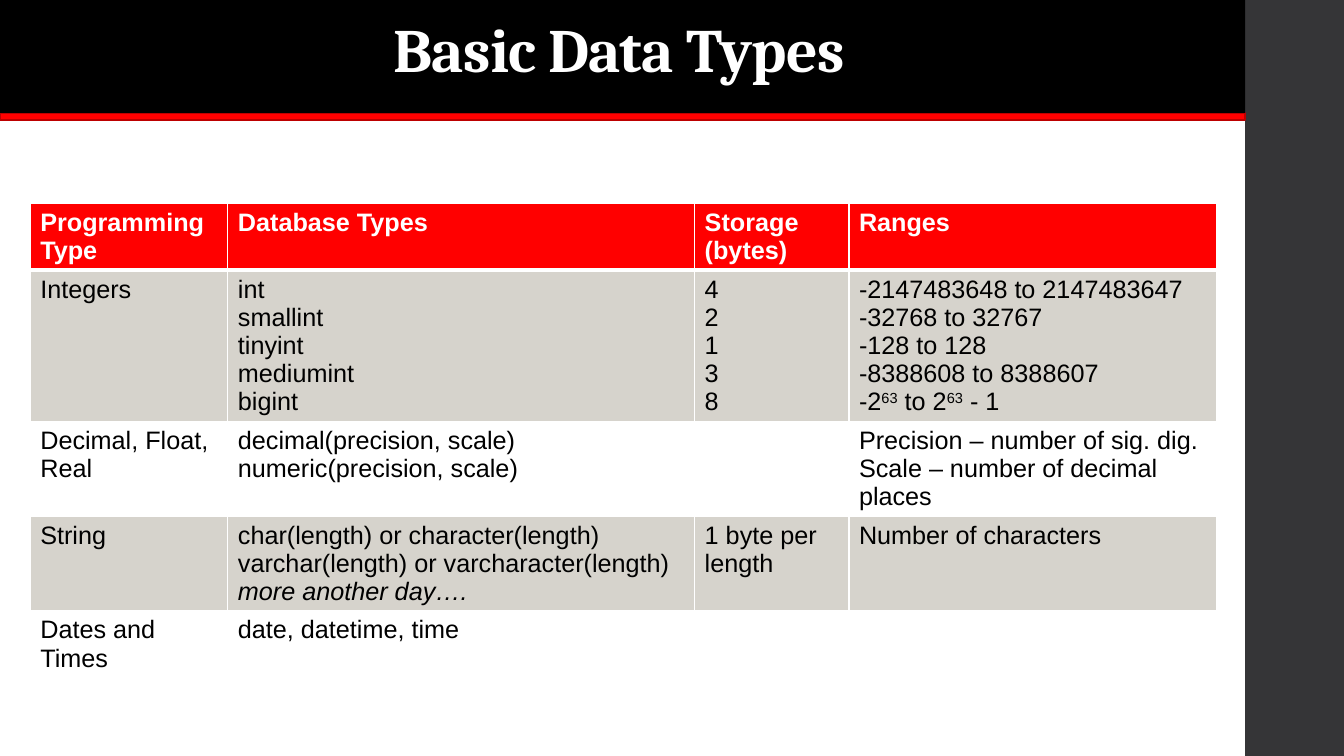
import dataclasses

import pptx
import pptx.dml.color
import pptx.enum.shapes
import pptx.enum.text
import pptx.oxml
import pptx.oxml.ns
import pptx.util
from pptx.util import Inches


@dataclasses.dataclass(frozen=True)
class Theme:
    white: str = "FFFFFF"
    black: str = "000000"
    red: str = "FF0000"
    dark_red: str = "BD0000"
    charcoal: str = "353537"
    band: str = "D6D3CC"
    title_font: str = "Cambria"
    body_font: str = "Arial"
    title_size: int = 44
    body_size: int = 18


theme = Theme()
rgb = pptx.dml.color.RGBColor.from_string


def add_text(paragraph, text, *, font=theme.body_font, size=theme.body_size,
             color=theme.black, bold=False, italic=False, baseline=0, spacing=0):
    """Append formatted text to a paragraph; each newline is a line break."""
    for number, line in enumerate(text.split("\n")):
        if number:
            paragraph.add_line_break()
        if not line:
            continue
        run = paragraph.add_run()
        run.text = line
        run.font.name = font
        run.font.size = pptx.util.Pt(size)
        run.font.color.rgb = rgb(color)
        run.font.bold = bold
        run.font.italic = italic
        properties = run._r.get_or_add_rPr()
        if baseline:
            properties.set("baseline", str(baseline * 1000))
        if spacing:
            properties.set("spc", str(int(spacing * 100)))


def add_rectangle(left, top, width, height, fill, line=None):
    shape = slide.shapes.add_shape(
        pptx.enum.shapes.MSO_SHAPE.RECTANGLE,
        Inches(left), Inches(top), Inches(width), Inches(height))
    shape.shadow.inherit = False
    shape.fill.solid()
    shape.fill.fore_color.rgb = rgb(fill)
    if line:
        shape.line.color.rgb = rgb(line)
        shape.line.width = pptx.util.Pt(1.1)
    else:
        shape.line.fill.background()
    return shape


presentation = pptx.Presentation()
presentation.slide_width = Inches(13.33)
presentation.slide_height = Inches(7.5)
slide = presentation.slides.add_slide(presentation.slide_layouts[6])
slide.background.fill.solid()
slide.background.fill.fore_color.rgb = rgb(theme.white)

# Side panel, red rule and title bar
add_rectangle(12.35, 0, 1, 7.5, theme.charcoal)
add_rectangle(0, 1.12, 12.35, 0.07, theme.red, theme.dark_red)
title_bar = add_rectangle(-0.07, -0.07, 12.42, 1.19, theme.black)
title_bar.text_frame.word_wrap = True
title_bar.text_frame.vertical_anchor = pptx.enum.text.MSO_ANCHOR.MIDDLE
title = title_bar.text_frame.paragraphs[0]
title.alignment = pptx.enum.text.PP_ALIGN.CENTER
title.line_spacing = 0.9
add_text(title, "Basic Data Types", font=theme.title_font, size=theme.title_size,
         color=theme.white, bold=True, spacing=-0.5)

# A cell is a list of paragraphs; a paragraph is text or a list of (text, format) pieces
plain, raised, slanted = {}, {"baseline": 30}, {"italic": True}
bigint_range = [
    ("-2147483648 to 2147483647\n-32768 to 32767\n-128 to 128\n"
     "-8388608 to 8388607\n-2", plain),
    ("63", raised), (" to 2", plain), ("63", raised), (" - 1", plain)]
string_types = [
    ("char(length) or character(length)\n"
     "varchar(length) or varcharacter(length)\n", plain),
    ("more another day….", slanted)]
rows = [
    [["Programming Type"], ["Database Types"], ["Storage\n(bytes)"], ["Ranges"]],
    [["Integers"], ["int", "smallint", "tinyint\nmediumint\nbigint"],
     ["4\n2\n1\n3\n8"], [bigint_range]],
    [["Decimal, Float, Real"],
     ["decimal(precision, scale)", "numeric(precision, scale)"], [],
     ["Precision – number of sig. dig.", "Scale – number of decimal places"]],
    [["String"], [string_types], ["1 byte per length"], ["Number of characters"]],
    [["Dates and Times"], ["date, datetime, time"], [], []],
]
column_widths = [1.96, 4.63, 1.53, 3.65]
row_heights = [0.66, 1.5, 0.94, 0.94, 0.66]

table = slide.shapes.add_table(
    len(rows), len(column_widths), Inches(0.3), Inches(2.02),
    Inches(sum(column_widths)), Inches(sum(row_heights))).table
for column, width in zip(table.columns, column_widths):
    column.width = Inches(width)
for row, height in zip(table.rows, row_heights):
    row.height = Inches(height)

for row_number, row in enumerate(rows):
    header = row_number == 0
    fill = theme.red if header else theme.band if row_number % 2 else theme.white
    text_color = theme.white if header else theme.black
    for column_number, content in enumerate(row):
        cell = table.cell(row_number, column_number)
        for side in ("lnL", "lnR", "lnT", "lnB"):
            thick = (header and side == "lnB") or (row_number == 1 and side == "lnT")
            border = pptx.oxml.parse_xml(
                f'<a:{side} {pptx.oxml.ns.nsdecls("a")} w="{pptx.util.Pt(3 if thick else 1)}">'
                f'<a:solidFill><a:srgbClr val="{theme.white}"/></a:solidFill></a:{side}>')
            cell._tc.get_or_add_tcPr().append(border)
        cell.fill.solid()
        cell.fill.fore_color.rgb = rgb(fill)
        for number, pieces in enumerate(content):
            frame = cell.text_frame
            paragraph = frame.add_paragraph() if number else frame.paragraphs[0]
            if isinstance(pieces, str):
                pieces = [(pieces, plain)]
            for text, text_format in pieces:
                add_text(paragraph, text, color=text_color, bold=header, **text_format)

presentation.save("out.pptx")
